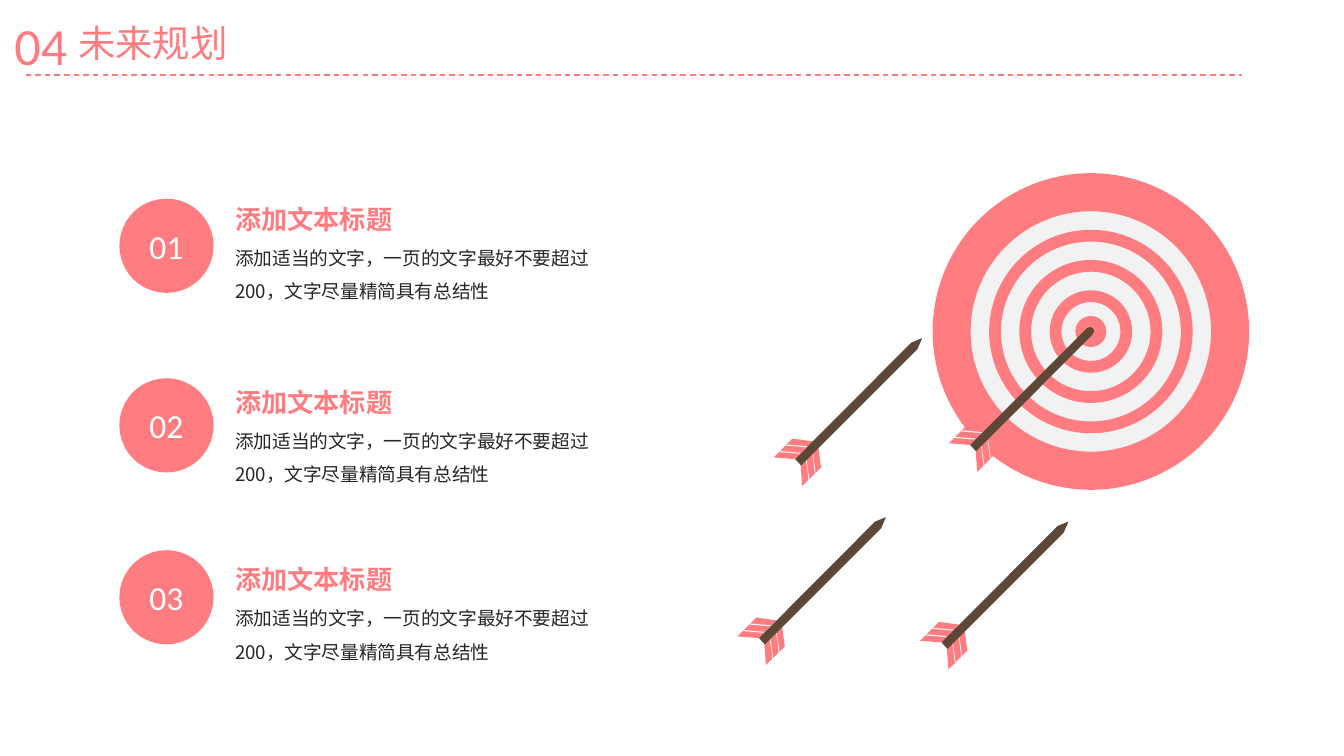
from lxml.etree import SubElement, fromstring
from pptx import Presentation
from pptx.dml.color import RGBColor
from pptx.enum.dml import MSO_LINE_DASH_STYLE as Dash
from pptx.enum.shapes import MSO_CONNECTOR as Connector, MSO_SHAPE as Shape
from pptx.enum.text import MSO_ANCHOR as Anchor, PP_ALIGN as Align
from pptx.oxml.ns import nsdecls, qn
from pptx.util import Pt

PINK = RGBColor(0xFF, 0x7C, 0x80)
PALE = RGBColor(0xF2, 0xF2, 0xF2)
BROWN = RGBColor(0x5D, 0x48, 0x37)
DARK = RGBColor(0x26, 0x26, 0x26)
WHITE = RGBColor(0xFF, 0xFF, 0xFF)
CHINESE_FONT = "Noto Sans CJK SC"


def write_text(shape, text, size, color, font_name=CHINESE_FONT, bold=False, wrap=True, insets=(5, 3)):
    frame = shape.text_frame
    frame.word_wrap = wrap
    frame.margin_left = frame.margin_right = Pt(insets[0])
    frame.margin_top = frame.margin_bottom = Pt(insets[1])
    frame.text = text
    paragraph = frame.paragraphs[0]
    font = paragraph.font
    font.size = Pt(size)
    font.bold = bold
    font.color.rgb = color
    font.name = font_name
    properties = paragraph._p.pPr.find(qn("a:defRPr"))
    SubElement(properties, qn("a:ea")).set("typeface", font_name)
    return paragraph


def paint(shape, color):
    shape.shadow.inherit = False
    shape.fill.solid()
    shape.fill.fore_color.rgb = color
    shape.line.fill.background()


presentation = Presentation()
presentation.slide_width = Pt(720)
presentation.slide_height = Pt(405)
slide = presentation.slides.add_slide(presentation.slide_layouts[5])
shapes = slide.shapes

title = shapes.title
title.left, title.top, title.width, title.height = Pt(34.6), Pt(7.2), Pt(255), Pt(31.5)
title.text_frame.vertical_anchor = Anchor.TOP
paragraph = write_text(title, "未来规划", 20, PINK, insets=(7.2, 3.6))
paragraph.alignment = Align.LEFT
text_shadow = fromstring(
    f'<a:effectLst {nsdecls("a")}><a:outerShdw blurRad="38100" dist="38100" dir="2700000">'
    '<a:srgbClr val="000000"><a:alpha val="43000"/></a:srgbClr></a:outerShdw></a:effectLst>'
)
paragraph._p.pPr.find(qn("a:defRPr")).find(qn("a:latin")).addprevious(text_shadow)

section_number = shapes.add_textbox(Pt(0.7), Pt(3.6), Pt(43.2), Pt(41))
write_text(section_number, "04", 28, PINK, "Calibri", wrap=False, insets=(7.2, 3.6))

divider = shapes.add_connector(Connector.STRAIGHT, Pt(13.7), Pt(40.3), Pt(665.3), Pt(40.3))
divider.line.color.rgb = PINK
divider.line.width = Pt(0.75)
divider.line.dash_style = Dash.DASH
SubElement(divider._element.spPr, qn("a:effectLst"))

for number, circle_top, heading_top in (("01", 106.5, 105.8), ("02", 202.7, 203.8), ("03", 294.8, 298.8)):
    circle = shapes.add_shape(Shape.OVAL, Pt(64), Pt(circle_top), Pt(50.4), Pt(50.4))
    paint(circle, PINK)
    circle.text_frame.vertical_anchor = Anchor.MIDDLE
    write_text(circle, number, 18, WHITE, "Calibri").alignment = Align.CENTER

    heading = shapes.add_textbox(Pt(121), Pt(heading_top), Pt(95.8), Pt(22.3))
    write_text(heading, "添加文本标题", 14, PINK, bold=True, wrap=False)

    description = shapes.add_textbox(Pt(121), Pt(heading_top + 17.3), Pt(217.4), Pt(39.6))
    paragraph = write_text(description, "添加适当的文字，一页的文字最好不要超过200，文字尽量精简具有总结性", 10, DARK)
    paragraph.line_spacing = 1.5

TARGET_X, TARGET_Y = 584.4, 177.6
for diameter, ring_width, color in (
    (169.6, None, PINK),
    (134.6, None, PALE),
    (141.4, 6.3, PINK),
    (109, 6.3, PINK),
    (76.6, 6.3, PINK),
    (44.2, 6.3, PINK),
    (16.6, None, PINK),
):
    preset = Shape.DONUT if ring_width else Shape.OVAL
    left, top = TARGET_X - diameter / 2, TARGET_Y - diameter / 2
    ring = shapes.add_shape(preset, Pt(left), Pt(top), Pt(diameter), Pt(diameter))
    if ring_width:
        ring.adjustments[0] = ring_width / diameter
    paint(ring, color)

LOWER_STRIPE = [(9.5, -3.5), (11, 7.3), (10.6, 7.8), (9.2, -3)]
UPPER_STRIPE = [(-8, -4.4), (2.9, -3.4), (2.3, -2.9), (-8.6, -3.8)]
FLETCHING = [
    (PINK, [(12.4, -6.4), (13.8, 4.4), (3.7, 14.4), (2.9, 3.4)]),
    (PINK, [(9.4, -9.5), (-1.4, -11), (-11.5, -0.9), (0, 0)]),
    (PALE, LOWER_STRIPE),
    (PALE, [(x - 3.4, y + 3.4) for x, y in LOWER_STRIPE]),
    (PALE, UPPER_STRIPE),
    (PALE, [(x + 3.5, y - 3.5) for x, y in UPPER_STRIPE]),
]
POINTED_SHAFT = [(0, 0), (62.2, -62.4), (68, -64.8), (65.5, -58.9), (3.2, 3.4)]
ROUNDED_SHAFT = [(0, 0), (62.6, -62.6), (64.1, -63.2), (65.9, -62.4), (66.4, -60.8), (65.6, -59.2), (3.2, 3.4)]

for arrow_x, arrow_y, shaft in (
    (406.6, 341.9, POINTED_SHAFT),
    (426, 246, POINTED_SHAFT),
    (504.4, 344.2, POINTED_SHAFT),
    (519.8, 238.4, ROUNDED_SHAFT),
):
    arrow = shapes.add_group_shape()
    for color, outline in FLETCHING + [(BROWN, shaft)]:
        points = [(Pt(arrow_x + x), Pt(arrow_y + y)) for x, y in outline]
        builder = arrow.shapes.build_freeform(*points[0])
        builder.add_line_segments(points[1:])
        paint(builder.convert_to_shape(), color)

presentation.save("out.pptx")
